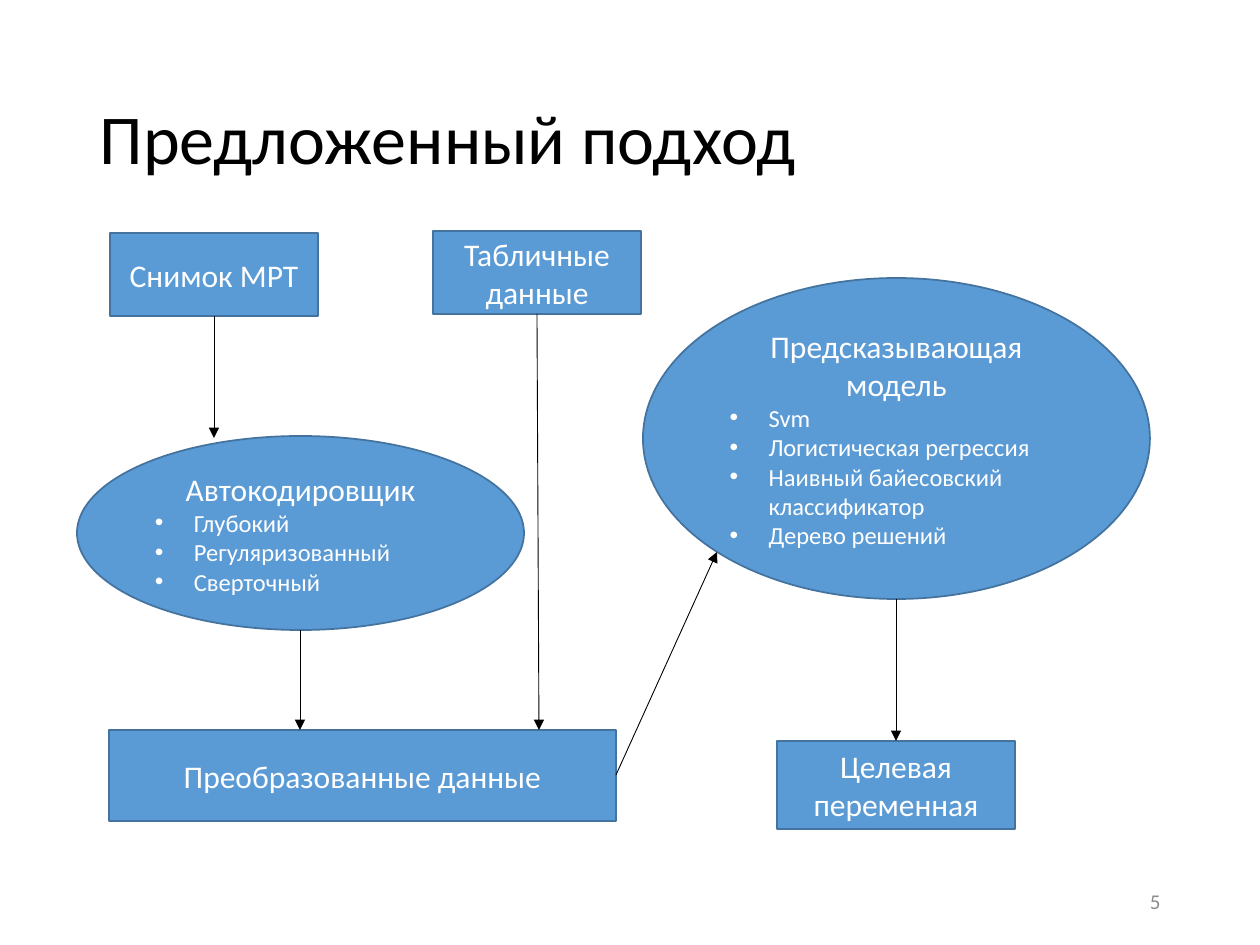
import dataclasses

import pptx
import pptx.dml.color
import pptx.enum.shapes
import pptx.enum.text
import pptx.oxml
import pptx.oxml.ns
import pptx.util

EMU_PER_PIXEL = 914400 / 126
FONT = "Calibri"
SHAPES = pptx.enum.shapes.MSO_SHAPE
ALIGN = pptx.enum.text.PP_ALIGN
MIDDLE = pptx.enum.text.MSO_ANCHOR.MIDDLE
BULLET_INDENT = 39


@dataclasses.dataclass(frozen=True)
class Stage:
    outline: int
    left: int
    top: int
    width: int
    height: int
    heading: str
    methods: tuple[str, ...] = ()

    @property
    def center(self) -> int:
        return self.left + self.width // 2

    @property
    def bottom(self) -> int:
        return self.top + self.height


@dataclasses.dataclass(frozen=True)
class Flow:
    start: tuple[int, int]
    end: tuple[int, int]


def px(pixels: int) -> pptx.util.Emu:
    return pptx.util.Emu(round(pixels * EMU_PER_PIXEL))


def color(value: str) -> pptx.dml.color.RGBColor:
    return pptx.dml.color.RGBColor.from_string(value)


def add_run(paragraph, text: str, size: int, ink: str) -> None:
    run = paragraph.add_run()
    run.text = text
    run.font.name = FONT
    run.font.size = pptx.util.Pt(size)
    run.font.color.rgb = color(ink)


def add_element(parent, tag: str, **attributes: str):
    element = pptx.oxml.parse_xml(f"<a:{tag} {pptx.oxml.ns.nsdecls('a')}/>")
    for name, value in attributes.items():
        element.set(name, value)
    parent.append(element)


def draw_stage(slide, stage: Stage) -> None:
    shape = slide.shapes.add_shape(
        stage.outline, px(stage.left), px(stage.top), px(stage.width), px(stage.height)
    )
    shape.shadow.inherit = False
    shape.fill.solid()
    shape.fill.fore_color.rgb = color("5B9BD5")
    shape.line.color.rgb = color("43739E")
    shape.line.width = pptx.util.Pt(1)
    frame = shape.text_frame
    frame.word_wrap = True
    frame.vertical_anchor = MIDDLE
    heading = frame.paragraphs[0]
    heading.alignment = ALIGN.CENTER
    add_run(heading, stage.heading, 18, "FFFFFF")
    for method in stage.methods:
        item = frame.add_paragraph()
        item.alignment = ALIGN.LEFT
        add_run(item, method, 14, "FFFFFF")
        properties = item._p.get_or_add_pPr()
        properties.set("marL", str(px(BULLET_INDENT)))
        properties.set("indent", str(-px(BULLET_INDENT)))
        add_element(properties, "buFont", typeface="Arial")
        add_element(properties, "buChar", char="•")


def draw_flow(slide, flow: Flow) -> None:
    arrow = slide.shapes.add_connector(
        pptx.enum.shapes.MSO_CONNECTOR.STRAIGHT, *map(px, flow.start + flow.end)
    )
    arrow.line.color.rgb = color("000000")
    arrow.line.width = pptx.util.Pt(0.5)
    add_element(arrow.line._get_or_add_ln(), "tailEnd", type="triangle")
    add_element(arrow._element.spPr, "effectLst")


scan = Stage(SHAPES.RECTANGLE, 110, 233, 208, 83, "Снимок МРТ")
table_data = Stage(SHAPES.RECTANGLE, 433, 231, 208, 83, "Табличные данные")
transformed = Stage(SHAPES.RECTANGLE, 109, 730, 507, 91, "Преобразованные данные")
target = Stage(SHAPES.RECTANGLE, 777, 741, 238, 88, "Целевая переменная")
autoencoder = Stage(
    SHAPES.OVAL, 77, 436, 447, 194, "Автокодировщик",
    ("Глубокий", "Регуляризованный", "Сверточный"),
)
model = Stage(
    SHAPES.OVAL, 643, 278, 507, 321, "Предсказывающая модель",
    ("Svm", "Логистическая регрессия", "Наивный байесовский классификатор", "Дерево решений"),
)
stages = (scan, transformed, autoencoder, model, target, table_data)
flows = (
    Flow((scan.center, scan.bottom), (scan.center, 438)),
    Flow((616, 775), (717, 552)),
    Flow((table_data.center, table_data.bottom), (539, transformed.top)),
    Flow((autoencoder.center, autoencoder.bottom), (autoencoder.center, transformed.top)),
    Flow((model.center, model.bottom), (model.center, target.top)),
)

presentation = pptx.Presentation()
presentation.slide_width = px(1260)
presentation.slide_height = px(945)
slide = presentation.slides.add_slide(presentation.slide_layouts[5])

title = slide.shapes.title
title.left, title.top, title.width, title.height = map(px, (87, 50, 1086, 183))
title.text_frame.vertical_anchor = MIDDLE
title_line = title.text_frame.paragraphs[0]
title_line.alignment = ALIGN.LEFT
title_line.line_spacing = 0.9
add_run(title_line, "Предложенный подход", 40, "000000")

page_number = slide.shapes.add_textbox(*map(px, (890, 876, 283, 50))).text_frame
page_number.word_wrap = True
page_number.vertical_anchor = MIDDLE
page_number.paragraphs[0].alignment = ALIGN.RIGHT
add_run(page_number.paragraphs[0], "5", 12, "8C8C8C")

for stage in stages:
    draw_stage(slide, stage)
for flow in flows:
    draw_flow(slide, flow)

presentation.save("out.pptx")
